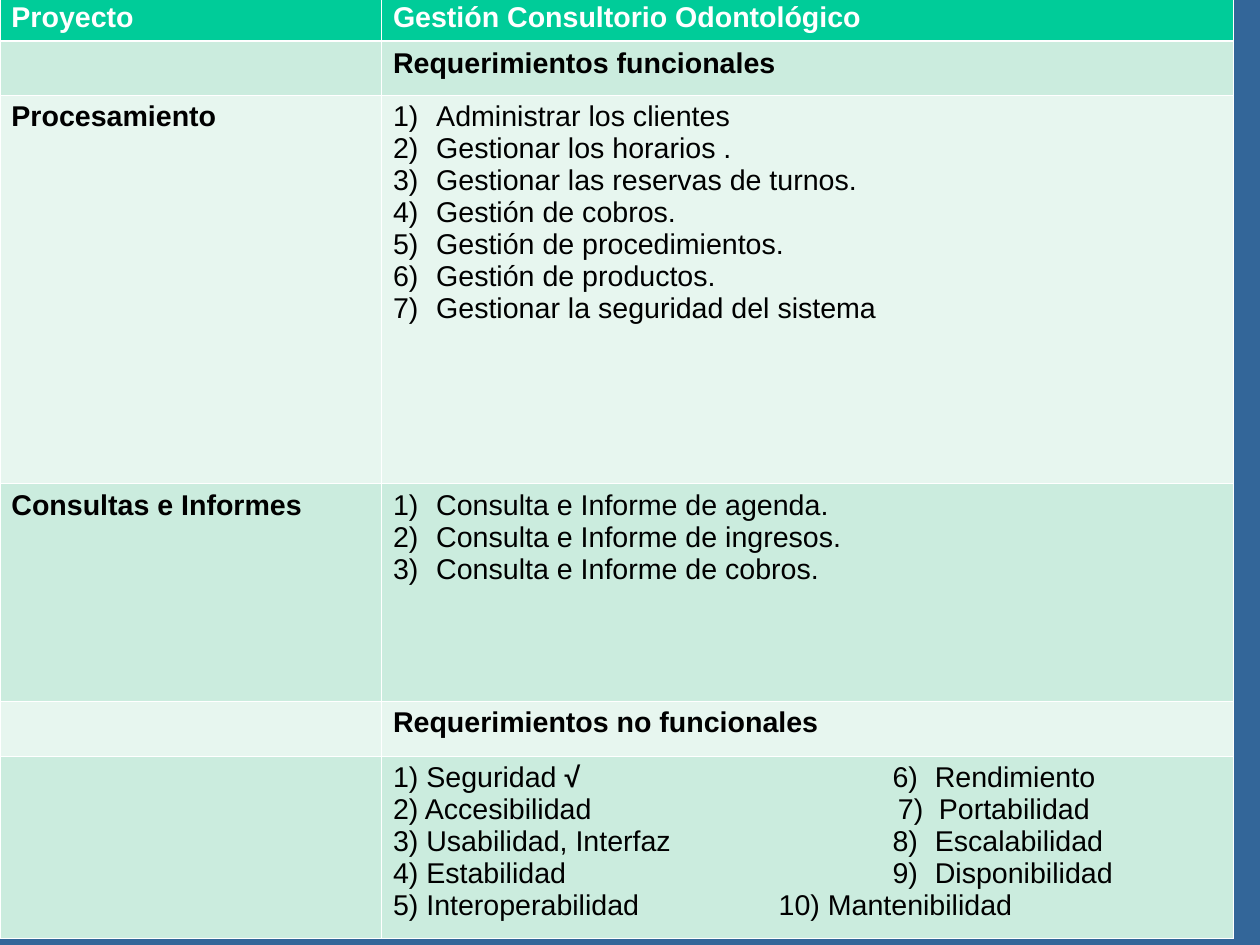
from lxml.etree import SubElement
from pptx import Presentation
from pptx.dml.color import RGBColor
from pptx.oxml.ns import qn
from pptx.util import Cm, Pt

BLUE = RGBColor(0x33, 0x66, 0x99)
GREEN = RGBColor(0x00, 0xCC, 0x99)
MINT = RGBColor(0xCB, 0xEC, 0xDE)
PALE = RGBColor(0xE7, 0xF6, 0xEF)
WHITE = RGBColor(0xFF, 0xFF, 0xFF)
BLACK = RGBColor(0x00, 0x00, 0x00)

PROCESSES = [
    "Administrar los clientes",
    "Gestionar los horarios .",
    "Gestionar las reservas de turnos.",
    "Gestión de cobros.",
    "Gestión de procedimientos.",
    "Gestión de productos.",
    "Gestionar la seguridad del sistema",
]
REPORTS = [
    "Consulta e Informe de agenda.",
    "Consulta e Informe de ingresos.",
    "Consulta e Informe de cobros.",
]
# Text and its tab stops in cm
QUALITIES = [
    ("1) Seguridad √\t6)\tRendimiento", (11.1, 12.04)),
    ("2) Accesibilidad\t7)\tPortabilidad", (11.22, 12.13)),
    ("3) Usabilidad, Interfaz\t8)\tEscalabilidad", (11.1, 12.04)),
    ("4) Estabilidad\t9)\tDisponibilidad", (11.1, 12.04)),
    ("5) Interoperabilidad\t10) Mantenibilidad", (8.57,)),
]
# Height in cm, left heading, right heading
ROWS = [
    (1.02, "Proyecto", "Gestión Consultorio Odontológico"),
    (1.19, "", "Requerimientos funcionales"),
    (8.64, "Procesamiento", ""),
    (4.83, "Consultas e Informes", ""),
    (1.22, "", "Requerimientos no funcionales"),
    (4.06, "", ""),
]
COLUMN_WIDTHS = (8.48, 18.92)
NUMBERED_LISTS = {2: PROCESSES, 3: REPORTS}
QUALITY_ROW = 5
NUMBER_INDENT = Cm(0.96)
THIN, THICK = Pt(0.45), Pt(1.47)


def style_runs(para, color=BLACK, bold=False):
    for span in para.runs:
        span.font.name = "Arial"
        span.font.size = Pt(18)
        span.font.bold = bold
        span.font.color.rgb = color


def add_paragraphs(cell, lines):
    """Put one line in each paragraph and return the paragraphs."""
    cell.text_frame.text = "\n".join(lines)
    return cell.text_frame.paragraphs


def set_number(para):
    properties = para._p.get_or_add_pPr()
    properties.set("marL", str(NUMBER_INDENT))
    properties.set("indent", str(-NUMBER_INDENT))
    SubElement(properties, qn("a:buAutoNum"), type="arabicParenR")


def set_tabs(para, stops):
    tabs = SubElement(para._p.get_or_add_pPr(), qn("a:tabLst"))
    for stop in stops:
        SubElement(tabs, qn("a:tab"), pos=str(Cm(stop)), algn="l")


def set_borders(cell, top, bottom):
    properties = cell._tc.get_or_add_tcPr()
    for side, width in (("L", THIN), ("R", THIN), ("T", top), ("B", bottom)):
        line = SubElement(properties, qn(f"a:ln{side}"), w=str(width))
        fill = SubElement(line, qn("a:solidFill"))
        SubElement(fill, qn("a:srgbClr"), val=str(WHITE))


def write_qualities(cell):
    paragraphs = add_paragraphs(cell, [text for text, stops in QUALITIES])
    for para, (text, stops) in zip(paragraphs, QUALITIES):
        set_tabs(para, stops)
        before, check, after = text.partition("√")
        para.text = before
        if check:
            para.add_run().text = check
            para.add_run().text = after
        style_runs(para)
        if check:
            para.runs[1].font.bold = True


def main():
    deck = Presentation()
    deck.slide_width, deck.slide_height = Cm(28), Cm(21)
    page = deck.slides.add_slide(deck.slide_layouts[6])
    page.background.fill.solid()
    page.background.fill.fore_color.rgb = BLUE

    heights = [row[0] for row in ROWS]
    table = page.shapes.add_table(
        len(ROWS), len(COLUMN_WIDTHS), Cm(0), Cm(-0.1),
        Cm(sum(COLUMN_WIDTHS)), Cm(sum(heights))).table
    table.horz_banding = False
    for column, width in zip(table.columns, COLUMN_WIDTHS):
        column.width = Cm(width)

    for index, (height, *headings) in enumerate(ROWS):
        table.rows[index].height = Cm(height)
        row_color = GREEN if index == 0 else (PALE, MINT)[index % 2]
        for cell, heading in zip(table.rows[index].cells, headings):
            set_borders(cell, THICK if index == 1 else THIN,
                        THICK if index == 0 else THIN)
            cell.fill.solid()
            cell.fill.fore_color.rgb = row_color
            if heading:
                cell.text_frame.text = heading
                style_runs(cell.text_frame.paragraphs[0],
                           WHITE if index == 0 else BLACK, bold=True)

    for index, lines in NUMBERED_LISTS.items():
        for para in add_paragraphs(table.cell(index, 1), lines):
            set_number(para)
            style_runs(para)
    write_qualities(table.cell(QUALITY_ROW, 1))

    deck.save("out.pptx")


if __name__ == "__main__":
    main()
